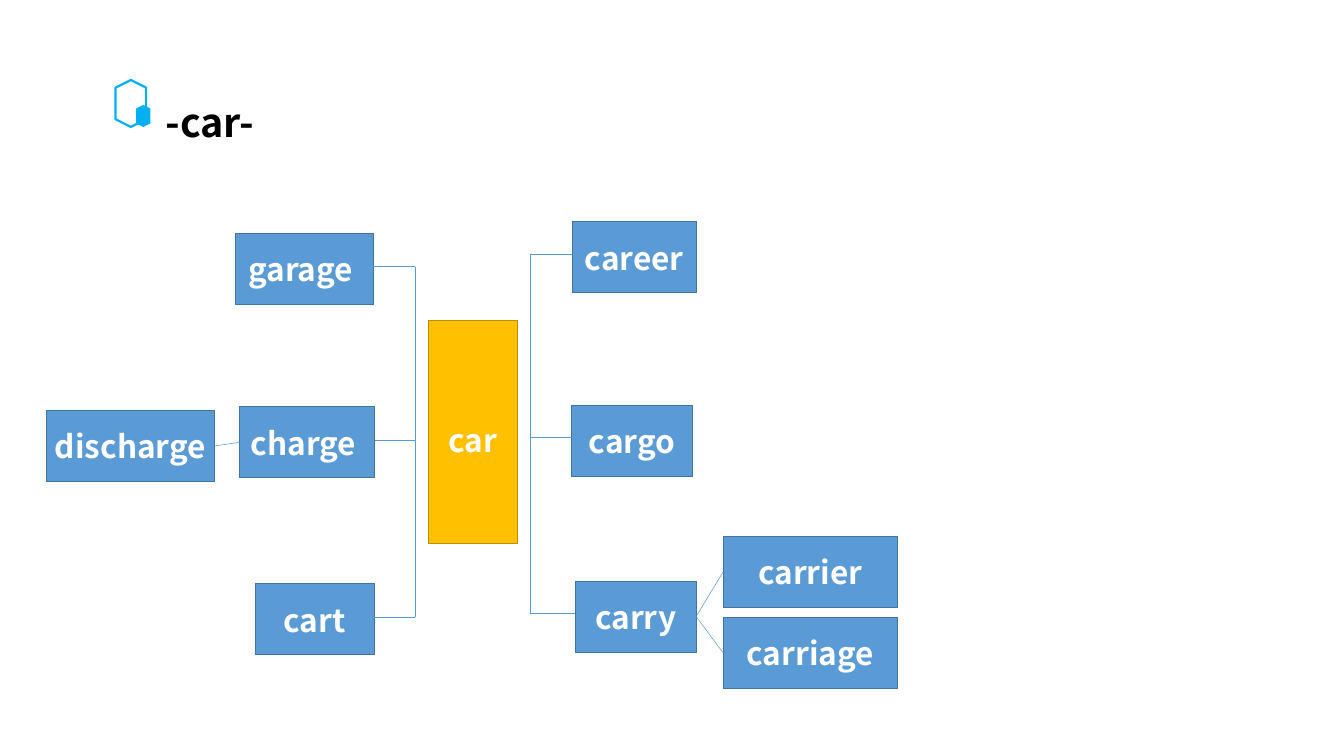
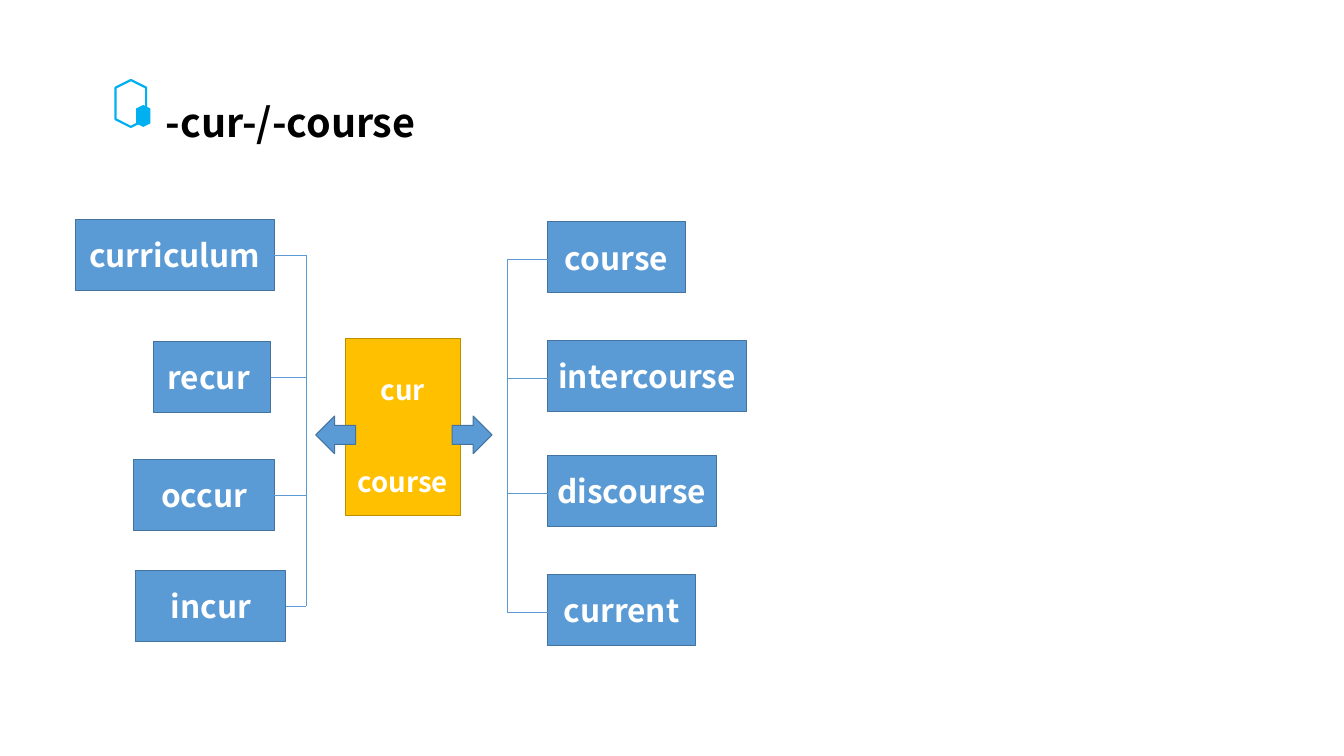
from lxml import etree
from pptx import Presentation
from pptx.dml.color import RGBColor
from pptx.enum.shapes import MSO_CONNECTOR, MSO_SHAPE
from pptx.enum.text import MSO_ANCHOR, MSO_AUTO_SIZE, PP_ALIGN
from pptx.oxml.ns import qn
from pptx.util import Inches, Pt

RECT, HEXAGON = MSO_SHAPE.RECTANGLE, MSO_SHAPE.HEXAGON
LEFT_ARROW, RIGHT_ARROW = MSO_SHAPE.LEFT_ARROW, MSO_SHAPE.RIGHT_ARROW
STRAIGHT = MSO_CONNECTOR.STRAIGHT
MIDDLE, NO_FIT = MSO_ANCHOR.MIDDLE, MSO_AUTO_SIZE.NONE
LEFT, CENTER = PP_ALIGN.LEFT, PP_ALIGN.CENTER

FONT = "Noto Sans CJK SC"
BLUE, BLUE_EDGE = "5B9BD5", "43739E"
GOLD, GOLD_EDGE = "FFC000", "BD8E00"
CYAN, WHITE, BLACK = "00B0F0", "FFFFFF", "000000"
COLS, ROWS = 189, 106.3  # square grid cells, ten to the inch
BOX_HEIGHT = 10
LEFT_SITE, RIGHT_SITE = 1, 3


def cells(*values):
    return [Inches(v / 10) for v in values]


def rgb(color):
    return RGBColor.from_string(color)


def set_font(p, size, color, align):
    p.alignment = align
    p.font.name, p.font.size, p.font.bold = FONT, Pt(size), True
    p.font.color.rgb = rgb(color)


def add_figure(s, kind, area, fill=None, edge=None, weight=1):
    shape = s.shapes.add_shape(kind, *cells(*area))
    shape.shadow.inherit = False
    if fill:
        shape.fill.solid()
        shape.fill.fore_color.rgb = rgb(fill)
    else:
        shape.fill.background()
    if edge:
        shape.line.color.rgb = rgb(edge)
        shape.line.width = Pt(weight)
    else:
        shape.line.fill.background()
    return shape


def add_box(s, words, area, size=32, fill=BLUE, edge=BLUE_EDGE):
    shape = add_figure(s, RECT, area, fill, edge)
    tf = shape.text_frame
    tf.text = "\n".join(words)
    tf.word_wrap, tf.vertical_anchor = True, MIDDLE
    for p in tf.paragraphs:
        set_font(p, size, WHITE, CENTER)
    return shape


def add_root(s, words, area, size):
    """Gold box of the word root, its text a little below the middle."""
    tf = add_box(s, words, area, size, GOLD, GOLD_EDGE).text_frame
    tf.margin_top = Inches(0.28)
    for p in tf.paragraphs[1:]:
        p.space_before = Pt(60)


def add_line(s, x1=0, y1=0, x2=0, y2=0):
    line = s.shapes.add_connector(STRAIGHT, *cells(x1, y1, x2, y2))
    line.line.color.rgb = rgb(BLUE)
    line.line.width = Pt(0.5)
    etree.SubElement(line._element.spPr, qn("a:effectLst"))
    return line


def link(s, parent, parent_site, child, child_site):
    line = add_line(s)
    line.begin_connect(parent, parent_site)
    line.end_connect(child, child_site)


def add_branch(s, spine, nodes, shift=0):
    """Boxes (word, left, top, width) joined to a vertical spine.

    Each stub lies `shift` cells below the middle of its box.
    """
    boxes, levels = {}, []
    for word, left, top, width in nodes:
        boxes[word.strip()] = add_box(s, [word], (left, top, width, BOX_HEIGHT))
        y = top + BOX_HEIGHT / 2 + shift
        near_edge = left if left > spine else left + width
        add_line(s, spine, y, near_edge, y)
        levels.append(y)
    add_line(s, spine, levels[0], spine, levels[-1])
    return boxes


def add_titled_slide(prs, title):
    s = prs.slides.add_slide(prs.slide_layouts[5])
    for area, fill, edge in (((15.1, 12.4, 6.6, 4.3), None, CYAN),
                             ((18.6, 15.3, 3.1, 2), CYAN, None)):
        add_figure(s, HEXAGON, area, fill, edge, 2.25).rotation = 90
    sp = s.shapes.title
    sp.left, sp.top, sp.width, sp.height = cells(22.3, 13.2, 100, 7.7)
    tf = sp.text_frame
    tf.text = title
    tf.auto_size, tf.vertical_anchor = NO_FIT, MIDDLE
    set_font(tf.paragraphs[0], 40, BLACK, LEFT)
    return s


def build_car(prs):
    s = add_titled_slide(prs, "-car-")
    add_root(s, ["car"], (60.2, 45, 12.6, 31.4), 32)
    left = add_branch(s, 58.4, [("garage ", 33.1, 32.8, 19.4),
                                ("charge ", 33.7, 57.2, 19),
                                ("cart", 35.9, 82.1, 16.7)], -0.3)
    right = add_branch(s, 74.6, [("career", 80.5, 31.2, 17.4),
                                 ("cargo", 80.4, 57, 17),
                                 ("carry", 80.9, 81.7, 17)], -0.5)
    discharge = add_box(s, ["discharge "], (6.5, 57.7, 23.7, BOX_HEIGHT))
    link(s, left["charge"], LEFT_SITE, discharge, RIGHT_SITE)
    for word, top in (("carrier", 75.4), ("carriage", 86.8)):
        child = add_box(s, [word], (101.7, top, 24.5, BOX_HEIGHT))
        link(s, right["carry"], RIGHT_SITE, child, LEFT_SITE)


def build_cur(prs):
    s = add_titled_slide(prs, "-cur-/-course")
    add_branch(s, 43, [("curriculum", 10.6, 30.9, 28),
                       ("recur ", 21.6, 48, 16.5),
                       ("occur", 18.8, 64.6, 19.8),
                       ("incur", 19.1, 80.2, 21.1)])
    add_branch(s, 71.3, [("course", 77, 31.2, 19.4),
                         ("intercourse", 77, 47.9, 28),
                         ("discourse", 77, 64, 23.7),
                         ("current", 77, 80.8, 20.8)], 0.3)
    add_root(s, ["cur", "course"], (48.6, 47.6, 16.1, 24.9), 28)
    for arrow, left in ((LEFT_ARROW, 44.4), (RIGHT_ARROW, 63.6)):
        add_figure(s, arrow, (left, 58.5, 5.6, 5.3), BLUE, BLUE_EDGE)


def main():
    prs = Presentation()
    prs.slide_width, prs.slide_height = cells(COLS, ROWS)
    build_car(prs)
    build_cur(prs)
    prs.save("out.pptx")


if __name__ == "__main__":
    main()
